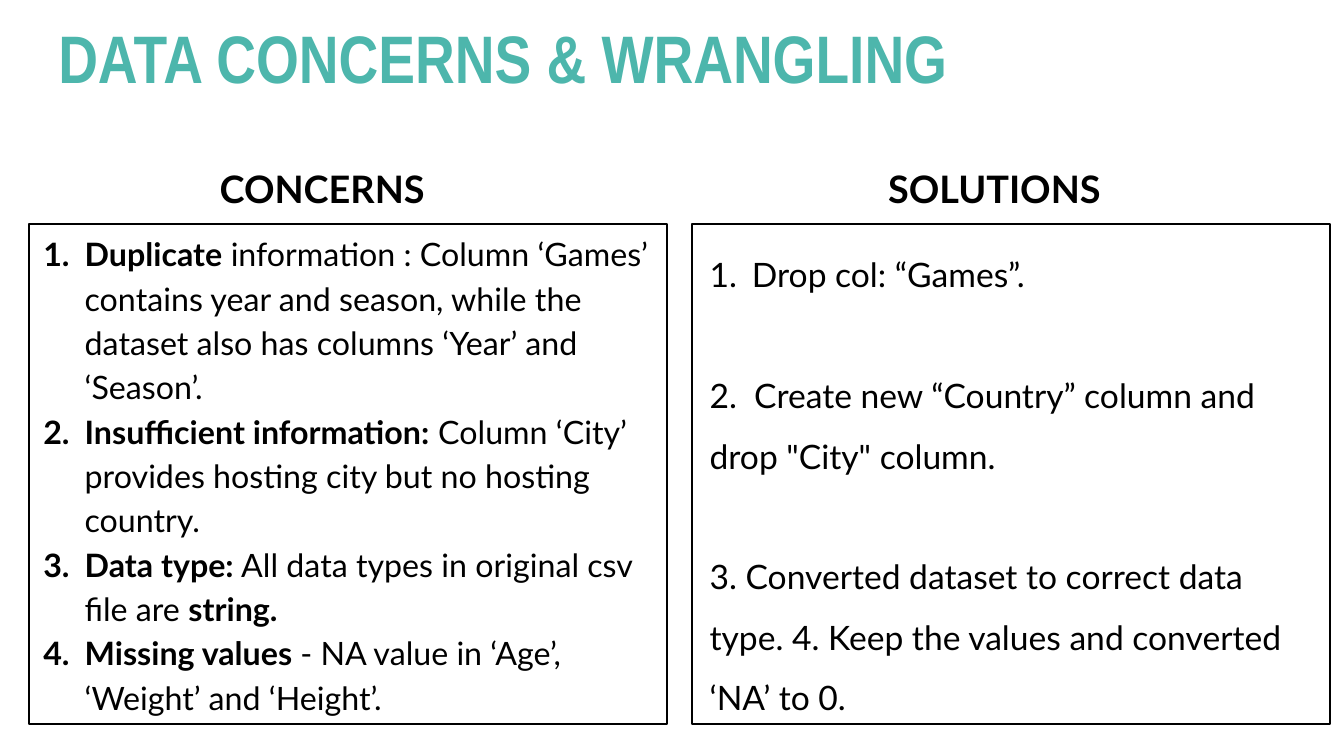
from lxml import etree
from pptx import Presentation
from pptx.dml.color import RGBColor
from pptx.enum.shapes import MSO_SHAPE
from pptx.enum.text import MSO_ANCHOR, PP_ALIGN
from pptx.oxml.ns import qn
from pptx.util import Inches, Pt

RECT = MSO_SHAPE.RECTANGLE
TOP, MIDDLE = MSO_ANCHOR.TOP, MSO_ANCHOR.MIDDLE
LEFT = PP_ALIGN.LEFT
COLORS = {"title": "4DB6AC", "ink": "000000"}

prs = Presentation()
prs.slide_width, prs.slide_height = Inches(13.33), Inches(7.5)
s = prs.slides.add_slide(prs.slide_layouts[6])


def set_frame(sp, inset_x, inset_y, anchor=TOP):
    tf = sp.text_frame
    tf.word_wrap = True
    tf.vertical_anchor = anchor
    tf.margin_left = tf.margin_right = Inches(inset_x)
    tf.margin_top = tf.margin_bottom = Inches(inset_y)
    return tf


def add_paragraph(tf, first, runs, size, spacing, font="Lato", color="ink",
                  indent=0, hanging=0):
    """Add (text, bold) runs; a hanging indent makes a numbered paragraph."""
    p = tf.paragraphs[0] if first else tf.add_paragraph()
    p.alignment = LEFT
    p.line_spacing = spacing
    p.font.size = Pt(size)
    p.font.name = font
    p.font.color.rgb = RGBColor.from_string(COLORS[color])
    for text, bold in runs:
        r = p.add_run()
        r.text = text
        r.font.bold = bold
    pPr = p._p.get_or_add_pPr()
    pPr.set("marL", str(Inches(indent)))
    pPr.set("indent", str(-Inches(hanging)))
    if hanging:
        number = etree.Element(qn("a:buAutoNum"), type="arabicPeriod")
        pPr.find(qn("a:defRPr")).addprevious(number)
    return p


# Title
sp = s.shapes.add_textbox(Inches(0.48), Inches(0.23), Inches(10.63), Inches(0.81))
add_paragraph(set_frame(sp, 0.1, 0.05, MIDDLE), True,
              [("DATA CONCERNS & WRANGLING", True)], 48, 0.8,
              font="Arial Narrow", color="title")

# Column headings and outlined boxes
frames = []
for heading, heading_x, box_x, inset in [("CONCERNS", 1.58, 0.29, 0.05),
                                         ("SOLUTIONS", 8.21, 6.86, 0.1)]:
    sp = s.shapes.add_textbox(Inches(heading_x), Inches(1.48), Inches(3.28), Inches(0.65))
    add_paragraph(set_frame(sp, 0.1, 0.1), True, [(heading, True)], 27, 1.15, indent=0.5)

    sp = s.shapes.add_shape(RECT, Inches(box_x), Inches(2.22), Inches(6.33), Inches(4.96))
    sp.shadow.inherit = False
    sp.fill.background()
    sp.line.color.rgb = RGBColor.from_string(COLORS["ink"])
    sp.line.width = Pt(1.5)
    frames.append(set_frame(sp, inset, inset))
concerns_tf, solutions_tf = frames

# Concerns
concerns = [
    [("Duplicate", True),
     (" information : Column ‘Games’ contains year and season, while the dataset "
      "also has columns ‘Year’ and ‘Season’.", False)],
    [("Insufficient information:", True),
     (" Column ‘City’ provides hosting city but no hosting country.", False)],
    [("Data type:", True),
     (" All data types in original csv file are ", False), ("string.", True)],
    [("Missing values ", True),
     ("- NA value in ‘Age’, ‘Weight’ and ‘Height’.", False)],
]
for i, runs in enumerate(concerns):
    add_paragraph(concerns_tf, i == 0, runs, 23, 1.15, indent=0.5, hanging=0.41)

# Solutions, one line apart
solutions = [
    ("Drop col: “Games”.", 0.5, 0.42),
    ("2.  Create new “Country” column and drop \"City\" column.", 0.08, 0),
    ("3. Converted dataset to correct data type. 4. Keep the values and "
     "converted ‘NA’ to 0.", 0.08, 0),
]
for i, (text, indent, hanging) in enumerate(solutions):
    p = add_paragraph(solutions_tf, i == 0, [(text, False)], 24, 1.5,
                      indent=indent, hanging=hanging)
    if i:
        p.space_before = Pt(43.2)

prs.save("out.pptx")
